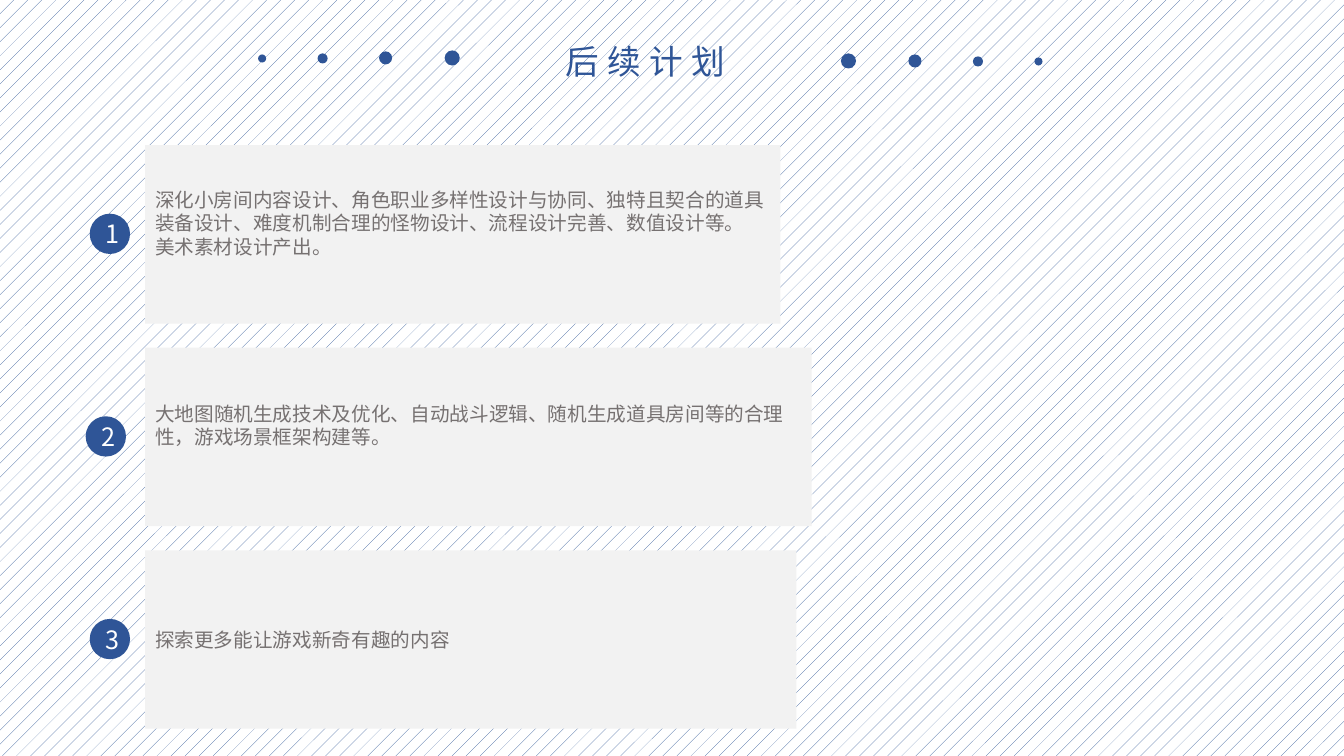
from lxml.etree import SubElement
from pptx import Presentation
from pptx.dml.color import RGBColor
from pptx.enum.dml import MSO_PATTERN
from pptx.enum.shapes import MSO_SHAPE
from pptx.enum.text import MSO_ANCHOR, MSO_AUTO_SIZE, PP_ALIGN
from pptx.oxml.ns import qn
from pptx.util import Inches, Pt

BLUE, GREY, PANEL, WHITE = "2F5597", "767171", "F2F2F2", "FFFFFF"
BODY_FONT, TITLE_FONT = "Noto Sans CJK SC", "Noto Sans CJK JP"


def add_filled(group, kind, left, top, width, height, color):
    """Add a borderless preset shape in one solid colour."""
    shape = group.shapes.add_shape(
        kind, Inches(left), Inches(top), Inches(width), Inches(height))
    shape.shadow.inherit = False
    shape.fill.solid()
    shape.fill.fore_color.rgb = RGBColor.from_string(color)
    shape.line.fill.background()
    return shape


def add_span(para, text, size, color, font, align=PP_ALIGN.LEFT):
    """Add a run whose font covers Latin and East Asian text."""
    para.alignment = align
    span = para.add_run()
    span.text = text
    span.font.size = Pt(size)
    span.font.color.rgb = RGBColor.from_string(color)
    span.font.name = font
    SubElement(span._r.get_or_add_rPr(), qn("a:ea")).set("typeface", font)
    return span


deck = Presentation()
deck.slide_width, deck.slide_height = Inches(13.33), Inches(7.5)
page = deck.slides.add_slide(deck.slide_layouts[5])

background = page.background.fill
background.patterned()
background.pattern = MSO_PATTERN.PERCENT_5
background.fore_color.rgb = RGBColor.from_string(BLUE)
background.back_color.rgb = RGBColor.from_string(WHITE)

# Dots grow towards the title; the right row mirrors the left one
dots = page.shapes.add_group_shape()
for left, top, size in [(2.56, 0.54, 0.08), (3.15, 0.53, 0.1),
                        (3.76, 0.51, 0.13), (4.41, 0.5, 0.15)]:
    add_filled(dots, MSO_SHAPE.OVAL, left, top, size, size, BLUE)
    add_filled(dots, MSO_SHAPE.OVAL, 12.9 - left - size, top + 0.03,
               size, size, BLUE)

title = page.shapes.title
title.left, title.top = Inches(5.51), Inches(0.36)
title.width, title.height = Inches(1.87), Inches(0.5)
frame = title.text_frame
frame.word_wrap = False
frame.auto_size = MSO_AUTO_SIZE.SHAPE_TO_FIT_TEXT
frame.vertical_anchor = MSO_ANCHOR.TOP
span = add_span(frame.paragraphs[0], "后续计划", 24, BLUE, TITLE_FONT)
span._r.get_or_add_rPr().set("spc", "600")

# Panel width, badge left, bottom inset, paragraphs
plans = [
    (6.3, 0.89, 0.28,
     ["深化小房间内容设计、角色职业多样性设计与协同、独特且契合的道具"
      "装备设计、难度机制合理的怪物设计、流程设计完善、数值设计等。",
      "美术素材设计产出。"]),
    (6.61, 0.85, 0.28,
     ["大地图随机生成技术及优化、自动战斗逻辑、随机生成道具房间等的合理"
      "性，游戏场景框架构建等。"]),
    (6.46, 0.89, 0.05, ["探索更多能让游戏新奇有趣的内容"]),
]
for index, (width, badge_left, inset, texts) in enumerate(plans):
    top = 1.44 + index * 2.01
    plan = page.shapes.add_group_shape()
    panel = add_filled(plan, MSO_SHAPE.RECTANGLE, 1.44, top, width, 1.77, PANEL)
    frame = panel.text_frame
    frame.word_wrap = True
    frame.vertical_anchor = MSO_ANCHOR.MIDDLE
    frame.margin_bottom = Inches(inset)
    for number, text in enumerate(texts):
        para = frame.add_paragraph() if number else frame.paragraphs[0]
        add_span(para, text, 14, GREY, BODY_FONT)

    badge = add_filled(plan, MSO_SHAPE.OVAL, badge_left, top + 0.68, 0.4, 0.4, BLUE)
    badge.text_frame.word_wrap = True
    badge.text_frame.vertical_anchor = MSO_ANCHOR.MIDDLE
    add_span(badge.text_frame.paragraphs[0], str(index + 1), 18, WHITE,
             BODY_FONT, PP_ALIGN.CENTER)

deck.save("out.pptx")
